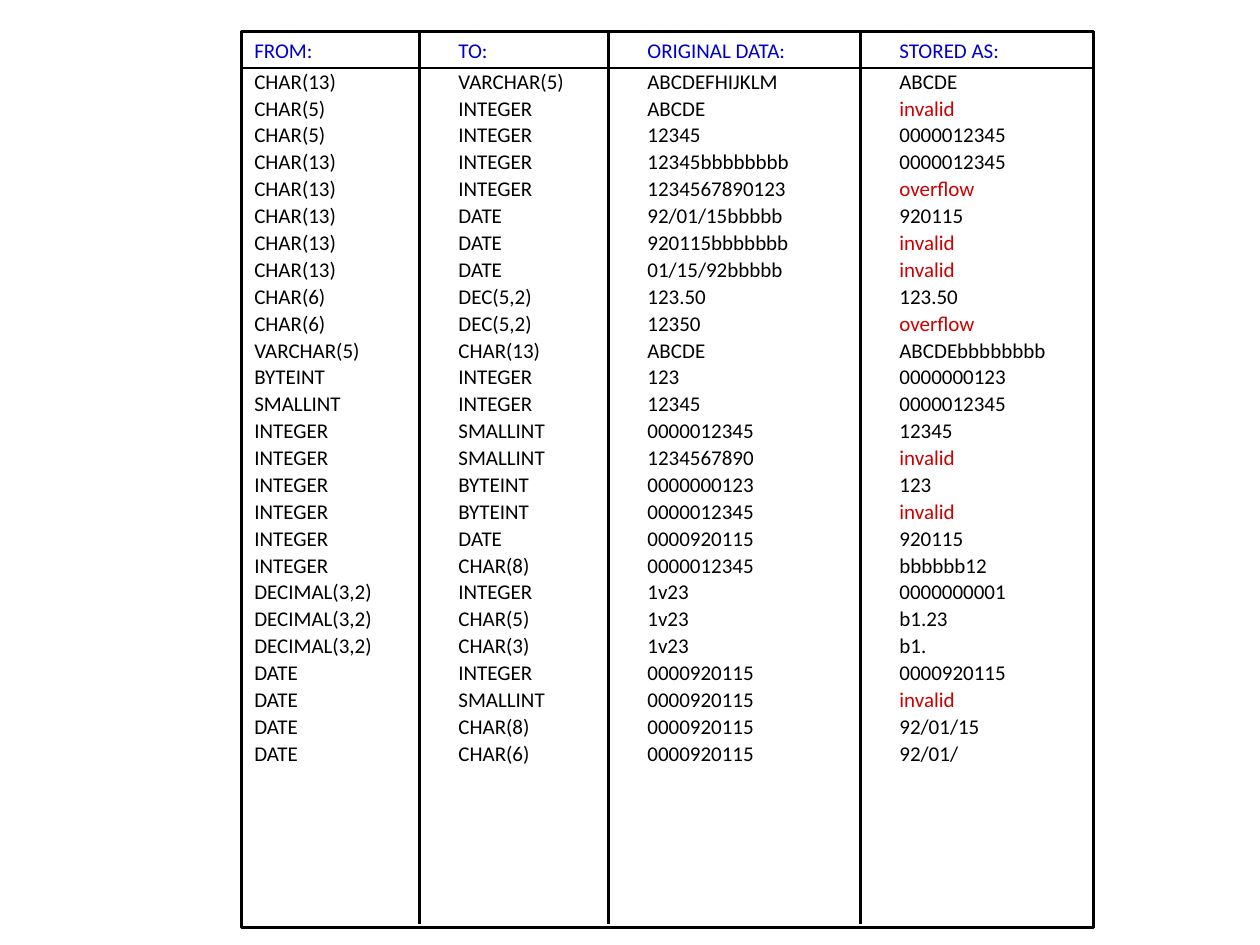
from lxml import etree
from pptx import Presentation
from pptx.dml.color import RGBColor
from pptx.enum.shapes import MSO_CONNECTOR, MSO_SHAPE
from pptx.enum.text import MSO_ANCHOR, PP_ALIGN
from pptx.oxml.ns import qn
from pptx.util import Inches, Pt

RECTANGLE = MSO_SHAPE.RECTANGLE
STRAIGHT = MSO_CONNECTOR.STRAIGHT
TOP = MSO_ANCHOR.TOP
LEFT = PP_ALIGN.LEFT

BLACK = RGBColor(0x00, 0x00, 0x00)
HEADER_BLUE = RGBColor(0x00, 0x00, 0xCC)
ERROR_RED = RGBColor(0xCC, 0x00, 0x00)

FONT = "Calibri"
ERRORS = ("invalid", "overflow")
TAB_STOPS = (1.62, 3.12, 5.12)
DIVIDERS = (1.41, 2.91, 4.91)
HEADER_HEIGHT = 0.29

HEADINGS = ("FROM:", "TO:", "ORIGINAL DATA:", "STORED AS:")
CONVERSIONS = [
    ("CHAR(13)", "VARCHAR(5)", "ABCDEFHIJKLM", "ABCDE"),
    ("CHAR(5)", "INTEGER", "ABCDE", "invalid"),
    ("CHAR(5)", "INTEGER", "12345", "0000012345"),
    ("CHAR(13)", "INTEGER", "12345bbbbbbbb", "0000012345"),
    ("CHAR(13)", "INTEGER", "1234567890123", "overflow"),
    ("CHAR(13)", "DATE", "92/01/15bbbbb", "920115"),
    ("CHAR(13)", "DATE", "920115bbbbbbb", "invalid"),
    ("CHAR(13)", "DATE", "01/15/92bbbbb", "invalid"),
    ("CHAR(6)", "DEC(5,2)", "123.50", "123.50"),
    ("CHAR(6)", "DEC(5,2)", "12350", "overflow"),
    ("VARCHAR(5)", "CHAR(13)", "ABCDE", "ABCDEbbbbbbbb"),
    ("BYTEINT", "INTEGER", "123", "0000000123"),
    ("SMALLINT", "INTEGER", "12345", "0000012345"),
    ("INTEGER", "SMALLINT", "0000012345", "12345"),
    ("INTEGER", "SMALLINT", "1234567890", "invalid"),
    ("INTEGER", "BYTEINT", "0000000123", "123"),
    ("INTEGER", "BYTEINT", "0000012345", "invalid"),
    ("INTEGER", "DATE", "0000920115", "920115"),
    ("INTEGER", "CHAR(8)", "0000012345", "bbbbbb12"),
    ("DECIMAL(3,2)", "INTEGER", "1v23", "0000000001"),
    ("DECIMAL(3,2)", "CHAR(5)", "1v23", "b1.23"),
    ("DECIMAL(3,2)", "CHAR(3)", "1v23", "b1."),
    ("DATE", "INTEGER", "0000920115", "0000920115"),
    ("DATE", "SMALLINT", "0000920115", "invalid"),
    ("DATE", "CHAR(8)", "0000920115", "92/01/15"),
    ("DATE", "CHAR(6)", "0000920115", "92/01/"),
]


def add_run(paragraph, text, color):
    run = paragraph.add_run()
    run.text = text
    run.font.name = FONT
    run.font.size = Pt(12)
    run.font.color.rgb = color


def write_row(paragraph, values, color, space_after):
    paragraph.alignment = LEFT
    paragraph.space_after = Pt(space_after)
    tab_list = etree.SubElement(paragraph._p.get_or_add_pPr(), qn("a:tabLst"))
    for position in TAB_STOPS:
        etree.SubElement(tab_list, qn("a:tab"), pos=str(Inches(position)), algn="l")
    if values[-1] in ERRORS:
        add_run(paragraph, "\t".join(values[:-1]) + "\t", color)
        add_run(paragraph, values[-1], ERROR_RED)
    else:
        add_run(paragraph, "\t".join(values), color)


def add_rule(slide, start, end, width):
    points = [Inches(value) for value in (*start, *end)]
    rule = slide.shapes.add_connector(STRAIGHT, *points)
    rule.line.color.rgb = BLACK
    rule.line.width = Pt(width)
    etree.SubElement(rule._element.spPr, qn("a:effectLst"))


def add_conversion_panel(slide, left, top, width, height):
    box = [Inches(value) for value in (left, top, width, height)]
    panel = slide.shapes.add_shape(RECTANGLE, *box)
    panel.shadow.inherit = False
    panel.fill.background()
    panel.line.color.rgb = BLACK
    panel.line.width = Pt(1.75)

    text_frame = panel.text_frame
    text_frame.word_wrap = True
    text_frame.vertical_anchor = TOP
    write_row(text_frame.paragraphs[0], HEADINGS, HEADER_BLUE, 3)
    for conversion in CONVERSIONS:
        write_row(text_frame.add_paragraph(), conversion, BLACK, 0.95)

    header_bottom = top + HEADER_HEIGHT
    add_rule(slide, (left, header_bottom), (left + width, header_bottom), 0.75)
    for offset in DIVIDERS:
        x = left + offset
        add_rule(slide, (x, top), (x, top + height - 0.03), 1.25)


presentation = Presentation()
presentation.slide_width = Inches(10)
presentation.slide_height = Inches(7.5)
slide = presentation.slides.add_slide(presentation.slide_layouts[6])
add_conversion_panel(slide, 1.92, 0.25, 6.76, 7.11)
presentation.save("out.pptx")
